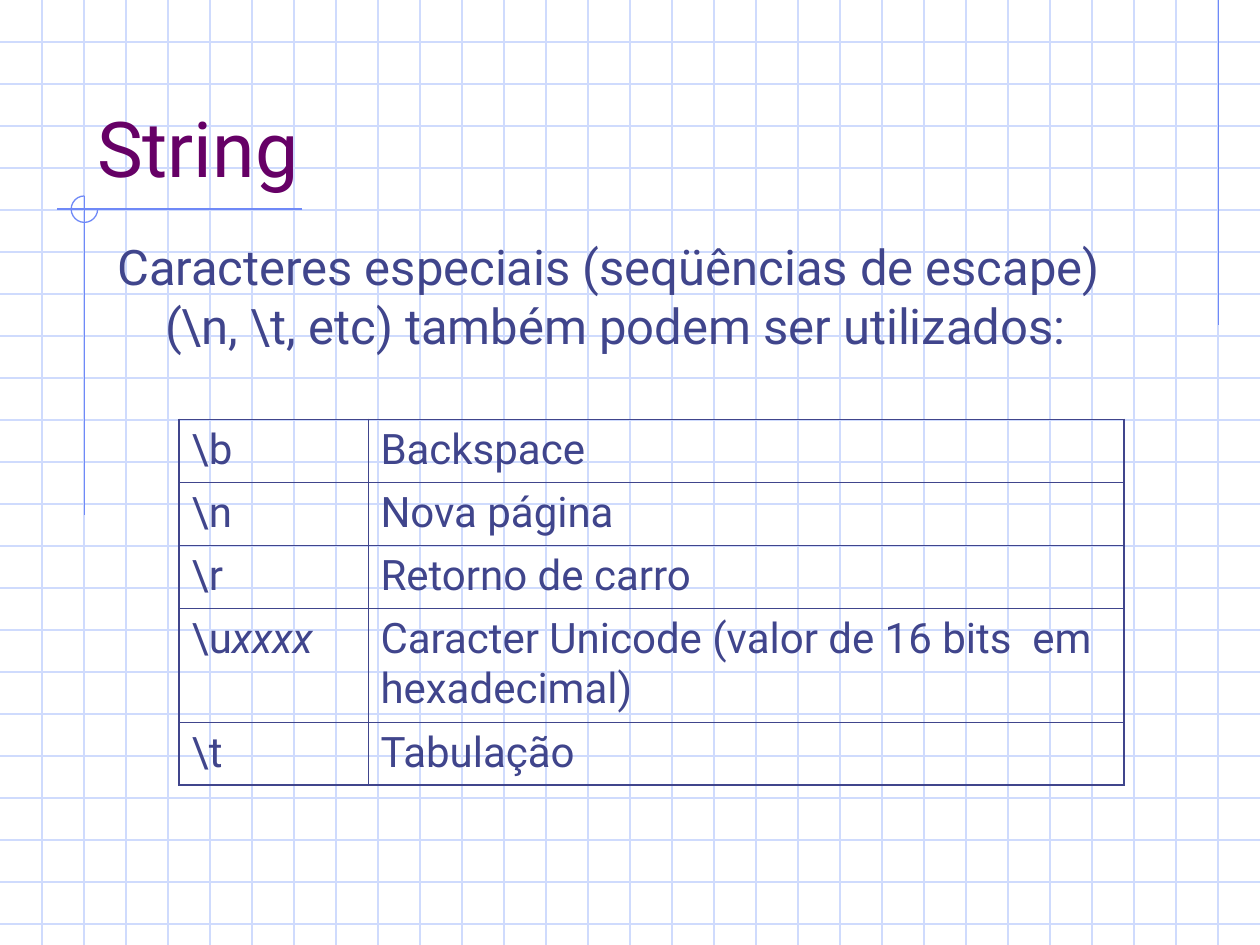
import pptx
import pptx.util
import pptx.dml.color
import pptx.enum.shapes
import pptx.enum.text
import pptx.oxml
import pptx.oxml.ns
from pptx.util import Inches

COLORS = {"grid": "CFDBFD", "accent": "6F89F7", "title": "660066", "text": "40458C"}
FONT = "Roboto"
THIN, THICK = 0.45, 1.08
WIDTH, HEIGHT = 10, 7.5
ESCAPES = [
    (["\\b"], "Backspace"),
    (["\\n"], "Nova página"),
    (["\\r"], "Retorno de carro"),
    (["\\u", "xxxx"], "Caracter Unicode (valor de 16 bits  em  hexadecimal)"),
    (["\\t"], "Tabulação"),
]


def rgb(name):
    return pptx.dml.color.RGBColor.from_string(COLORS[name])


def style_runs(paragraph, size, color):
    for run in paragraph.runs:
        run.font.name = FONT
        run.font.size = pptx.util.Pt(size)
        run.font.color.rgb = rgb(color)


def style_line(shape, color):
    shape.line.color.rgb = rgb(color)
    shape.line.width = pptx.util.Pt(0.74)


def add_line(slide, start, end, color):
    line = slide.shapes.add_connector(
        pptx.enum.shapes.MSO_CONNECTOR.STRAIGHT,
        Inches(start[0]), Inches(start[1]), Inches(end[0]), Inches(end[1]))
    style_line(line, color)
    properties = line.element.find(pptx.oxml.ns.qn("p:spPr"))
    properties.append(pptx.oxml.parse_xml(
        f'<a:effectLst {pptx.oxml.ns.nsdecls("a")}/>'))


def add_grid(slide, width, height, per_inch=3):
    for step in range(1, int(height * per_inch) + 1):
        add_line(slide, (0, step / per_inch), (width, step / per_inch), "grid")
    for step in range(1, width * per_inch):
        add_line(slide, (step / per_inch, 0), (step / per_inch, height), "grid")


def add_ornament(slide, x, y, radius=0.105):
    """Crossed lines with a three-quarter circle centred on (x, y)."""
    add_line(slide, (x + 1.73, y), (x - 0.22, y), "accent")
    add_line(slide, (x, y - radius), (x, y + 2.43), "accent")
    arc = slide.shapes.add_shape(
        pptx.enum.shapes.MSO_SHAPE.ARC, Inches(x - radius), Inches(y - radius),
        Inches(2 * radius), Inches(2 * radius))
    arc.adjustments[0] = 0
    arc.adjustments[1] = 162  # 270 degrees
    arc.shadow.inherit = False
    arc.fill.background()
    style_line(arc, "accent")


def fill_placeholder(shape, box, text, size, color, anchor):
    shape.left, shape.top, shape.width, shape.height = map(Inches, box)
    # Bring the text in front of the grid
    shape.element.getparent().append(shape.element)
    text_frame = shape.text_frame
    text_frame.text = text
    text_frame.word_wrap = True
    text_frame.auto_size = pptx.enum.text.MSO_AUTO_SIZE.NONE
    text_frame.vertical_anchor = anchor
    paragraph = text_frame.paragraphs[0]
    paragraph.alignment = pptx.enum.text.PP_ALIGN.LEFT
    style_runs(paragraph, size, color)
    return paragraph


def add_title(slide, box):
    fill_placeholder(slide.shapes.title, box, "String", 44, "title",
                     pptx.enum.text.MSO_ANCHOR.BOTTOM)


def add_body(slide, box):
    paragraph = fill_placeholder(
        slide.placeholders[1], box,
        "Caracteres especiais (seqüências de escape) "
        "(\\n, \\t, etc) também podem ser utilizados:",
        28, "text", pptx.enum.text.MSO_ANCHOR.TOP)
    paragraph.space_before = pptx.util.Pt(7)
    # Hanging indent without a bullet
    properties = paragraph._p.get_or_add_pPr()
    properties.set("marL", str(Inches(0.38)))
    properties.set("indent", str(-Inches(0.38)))
    properties.append(pptx.oxml.parse_xml(
        f'<a:buNone {pptx.oxml.ns.nsdecls("a")}/>'))


def add_borders(cell, widths):
    properties = cell._tc.get_or_add_tcPr()
    for side, width in zip("LRTB", widths):
        properties.append(pptx.oxml.parse_xml(
            f'<a:ln{side} {pptx.oxml.ns.nsdecls("a")} w="{pptx.util.Pt(width)}">'
            f'<a:solidFill><a:srgbClr val="{COLORS["text"]}"/></a:solidFill>'
            f'</a:ln{side}>'))


def fill_cell(cell, parts):
    paragraph = cell.text_frame.paragraphs[0]
    paragraph.space_before = pptx.util.Pt(6)
    for index, part in enumerate(parts):
        run = paragraph.add_run()
        run.text = part
        if index:
            run.font.italic = True
    style_runs(paragraph, 24, "text")


def add_escape_table(slide, left, top, column_widths, row_heights):
    last_row, last_column = len(row_heights) - 1, len(column_widths) - 1
    table = slide.shapes.add_table(
        len(row_heights), len(column_widths), Inches(left), Inches(top),
        Inches(sum(column_widths)), Inches(sum(row_heights))).table
    table.first_row = table.horz_banding = False
    for column, width in zip(table.columns, column_widths):
        column.width = Inches(width)
    for r, (code, meaning) in enumerate(ESCAPES):
        table.rows[r].height = Inches(row_heights[r])
        for c, parts in enumerate((code, [meaning])):
            cell = table.cell(r, c)
            fill_cell(cell, parts)
            # Thick lines on the outer edge only
            edges = (c == 0, c == last_column, r == 0, r == last_row)
            add_borders(cell, [THICK if edge else THIN for edge in edges])
            cell.fill.background()


presentation = pptx.Presentation()
presentation.slide_width, presentation.slide_height = Inches(WIDTH), Inches(HEIGHT)
slide = presentation.slides.add_slide(presentation.slide_layouts[1])

# Background
add_grid(slide, WIDTH, HEIGHT)
add_line(slide, (9.67, 0), (9.67, 2.58), "accent")
add_ornament(slide, 0.67, 1.66)

# Content
add_title(slide, (0.67, 0.33, 8.5, 1.25))
add_body(slide, (0.83, 1.83, 8.5, 1.21))
add_escape_table(slide, 1.42, 3.33, [1.5, 6], [0.5, 0.5, 0.5, 0.9, 0.5])

presentation.save("out.pptx")
